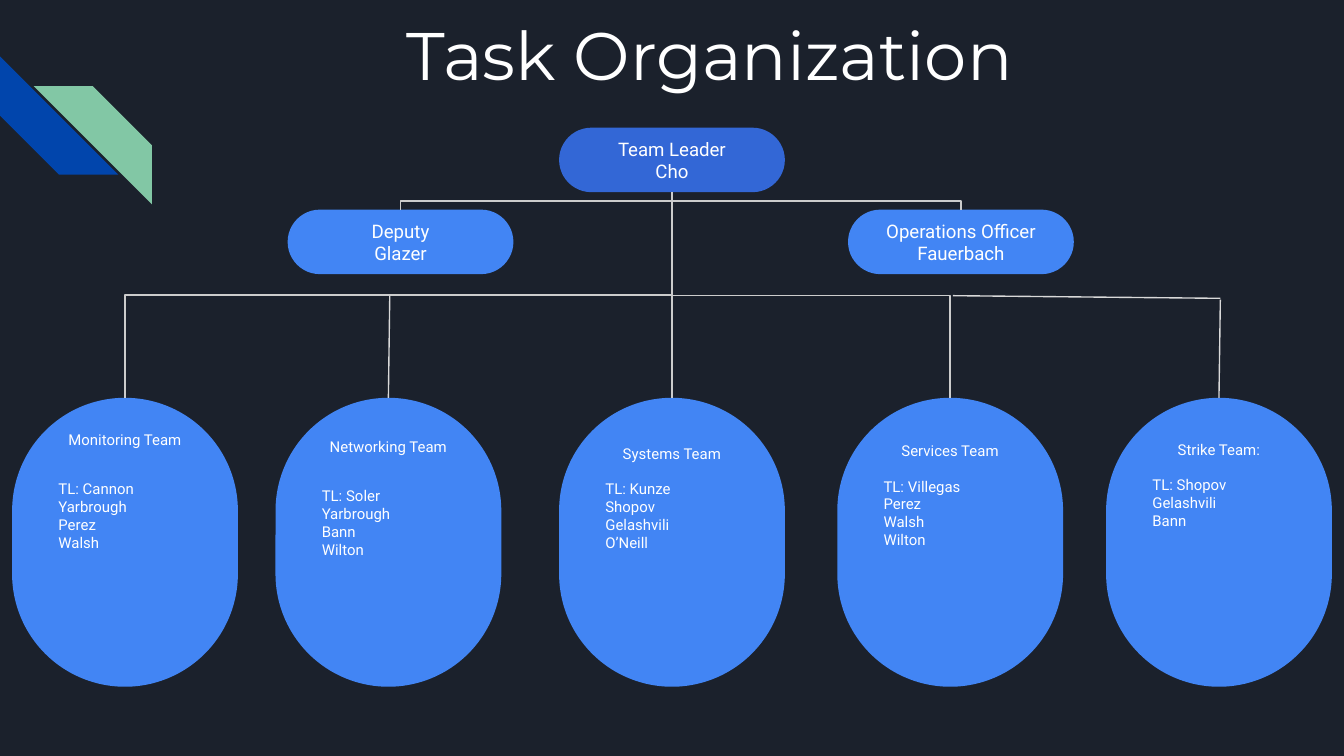
import pptx
import pptx.util
import pptx.dml.color
import pptx.enum.shapes
import pptx.enum.text
import pptx.oxml.ns
from lxml import etree

Inches, Pt = pptx.util.Inches, pptx.util.Pt
SHAPE = pptx.enum.shapes.MSO_SHAPE
CONNECTOR = pptx.enum.shapes.MSO_CONNECTOR
ALIGN = pptx.enum.text.PP_ALIGN
ANCHOR = pptx.enum.text.MSO_ANCHOR

COLORS = {
    "background": "1B212C", "text": "FFFFFF", "leader": "3367D6", "box": "4285F4",
    "navy": "0145AC", "green": "82C7A5", "elbow": "CCCCCC", "line": "D9D9D9",
}
TITLE = "Task Organization"
OFFICERS = {
    "leader": ("Team Leader\vCho", 4.16, 0.95, "leader"),
    "operations": ("Operations Officer\vFauerbach", 6.31, 1.56, "box"),
    "deputy": ("Deputy\vGlazer", 2.14, 1.56, "box"),
}
TEAMS = [
    ("Monitoring Team", ["TL: Cannon", "Yarbrough", "Perez", "Walsh"], 0.09, 0, 16.7),
    ("Networking Team", ["TL: Soler", "Yarbrough", "Bann", "Wilton"], 2.05, 0.05, 16.7),
    ("Systems Team", ["TL: Kunze", "Shopov", "Gelashvili", "O’Neill"], 4.16, 0.1, 9.5),
    ("Services Team", ["TL: Villegas", "Perez", "Walsh", "Wilton"], 6.23, 0.08, 9.5),
    ("Strike Team:", ["TL: Shopov", "Gelashvili", "Bann"], 8.23, 0.07, 9.5),
]
BOX_WIDTH, OFFICER_HEIGHT = 1.68, 0.48
TEAM_TOP, TEAM_HEIGHT = 2.96, 2.15


def rgb(name):
    return pptx.dml.color.RGBColor.from_string(COLORS[name])


def format_paragraph(paragraph, size, align, font="Roboto"):
    paragraph.alignment = align
    for run in paragraph.runs:
        run.font.size, run.font.name = Pt(size), font
        run.font.color.rgb = rgb("text")


def add_filled(slide, kind, left, top, width, height, color):
    shape = slide.shapes.add_shape(
        kind, Inches(left), Inches(top), Inches(width), Inches(height))
    shape.shadow.inherit = False
    shape.fill.solid()
    shape.fill.fore_color.rgb = rgb(color)
    shape.line.fill.background()
    shape.adjustments[0] = 0.5
    return shape


def set_frame(frame, anchor, top=0.1):
    frame.word_wrap = True
    frame.auto_size = pptx.enum.text.MSO_AUTO_SIZE.NONE
    frame.vertical_anchor = anchor
    frame.margin_left = frame.margin_right = frame.margin_bottom = Inches(0.1)
    frame.margin_top = Inches(top)


def add_officer(slide, text, left, top, color):
    shape = add_filled(slide, SHAPE.ROUNDED_RECTANGLE, left, top,
                       BOX_WIDTH, OFFICER_HEIGHT, color)
    set_frame(shape.text_frame, ANCHOR.MIDDLE)
    shape.text_frame.text = text
    format_paragraph(shape.text_frame.paragraphs[0], 10, ALIGN.CENTER)
    return shape


def add_team(slide, name, members, left, inset, gap):
    shape = add_filled(slide, SHAPE.ROUNDED_RECTANGLE, left, TEAM_TOP,
                       BOX_WIDTH, TEAM_HEIGHT, "box")
    set_frame(shape.text_frame, ANCHOR.TOP, inset)
    shape.text_frame.text = "\n".join([name, *members])
    heading, *rows = shape.text_frame.paragraphs
    format_paragraph(heading, 8, ALIGN.CENTER)
    heading.space_after = Pt(gap)
    for row in rows:
        format_paragraph(row, 8, ALIGN.LEFT)
    return shape


def add_line(slide, kind, start, end, color):
    points = [Inches(value) for value in (*start, *end)]
    connector = slide.shapes.add_connector(kind, *points)
    connector.line.color.rgb = rgb(color)
    connector.line.width = Pt(0.75)
    etree.SubElement(connector._element.spPr, pptx.oxml.ns.qn("a:effectLst"))
    return connector


def add_elbow(slide, leader, child):
    connector = add_line(slide, CONNECTOR.ELBOW, (0, 0), (1, 1), "elbow")
    x1, y1 = leader.left + leader.width // 2, leader.top + leader.height
    x2, y2 = child.left + child.width // 2, child.top
    if x2 < x1:
        connector.begin_connect(child, 0)
        connector.end_connect(leader, 2)
    else:
        connector.begin_connect(leader, 2)
        connector.end_connect(child, 0)
    width, height = y2 - y1, abs(x2 - x1)
    connector.left, connector.top = (x1 + x2 - width) // 2, (y1 + y2 - height) // 2
    connector.width, connector.height = width, height
    transform = connector._element.spPr.xfrm
    transform.set("rot", str(270 * 60000))
    transform.set("flipH", "1" if x2 > x1 else "0")
    transform.set("flipV", "0")


def main():
    """Build the task organization chart slide."""
    presentation = pptx.Presentation()
    presentation.slide_width = Inches(10)
    presentation.slide_height = Inches(10) * 9 // 16
    slide = presentation.slides.add_slide(presentation.slide_layouts[5])
    slide.background.fill.solid()
    slide.background.fill.fore_color.rgb = rgb("background")

    navy_stripe = add_filled(slide, SHAPE.DIAGONAL_STRIPE, 0, 0.42, 0.88, 0.88, "navy")
    navy_stripe.rotation = 270
    green_stripe = add_filled(slide, SHAPE.DIAGONAL_STRIPE, 0.25, 0.64, 0.88, 0.88, "green")
    green_stripe._element.spPr.xfrm.set("flipH", "1")

    title = slide.shapes.title
    title.left, title.top = Inches(1.43), Inches(0)
    title.width, title.height = Inches(7.7), Inches(1)
    set_frame(title.text_frame, ANCHOR.TOP)
    title.text_frame.text = TITLE
    format_paragraph(title.text_frame.paragraphs[0], 36, ALIGN.CENTER, "Montserrat")

    officers = {key: add_officer(slide, *data) for key, data in OFFICERS.items()}
    monitoring, networking, systems, services, strike = [
        add_team(slide, *team) for team in TEAMS]

    leader = officers["leader"]
    for child in (officers["operations"], officers["deputy"], monitoring):
        add_elbow(slide, leader, child)

    services_line = add_line(slide, CONNECTOR.ELBOW, (4.27, 2.2), (7.07, TEAM_TOP), "elbow")
    services_line._element.spPr.prstGeom.set("prst", "bentConnector2")

    systems_line = add_line(slide, CONNECTOR.STRAIGHT, (5, TEAM_TOP), (5, 1.43), "elbow")
    systems_line.begin_connect(systems, 0)
    systems_line.end_connect(leader, 2)

    for team, end in ((strike, (9.08, 2.23)), (networking, (2.9, 2.2))):
        team_line = add_line(slide, CONNECTOR.STRAIGHT, (end[0], TEAM_TOP), end, "line")
        team_line.begin_connect(team, 0)
    add_line(slide, CONNECTOR.STRAIGHT, (9.08, 2.22), (7.09, 2.2), "line")

    presentation.save("out.pptx")


if __name__ == "__main__":
    main()
